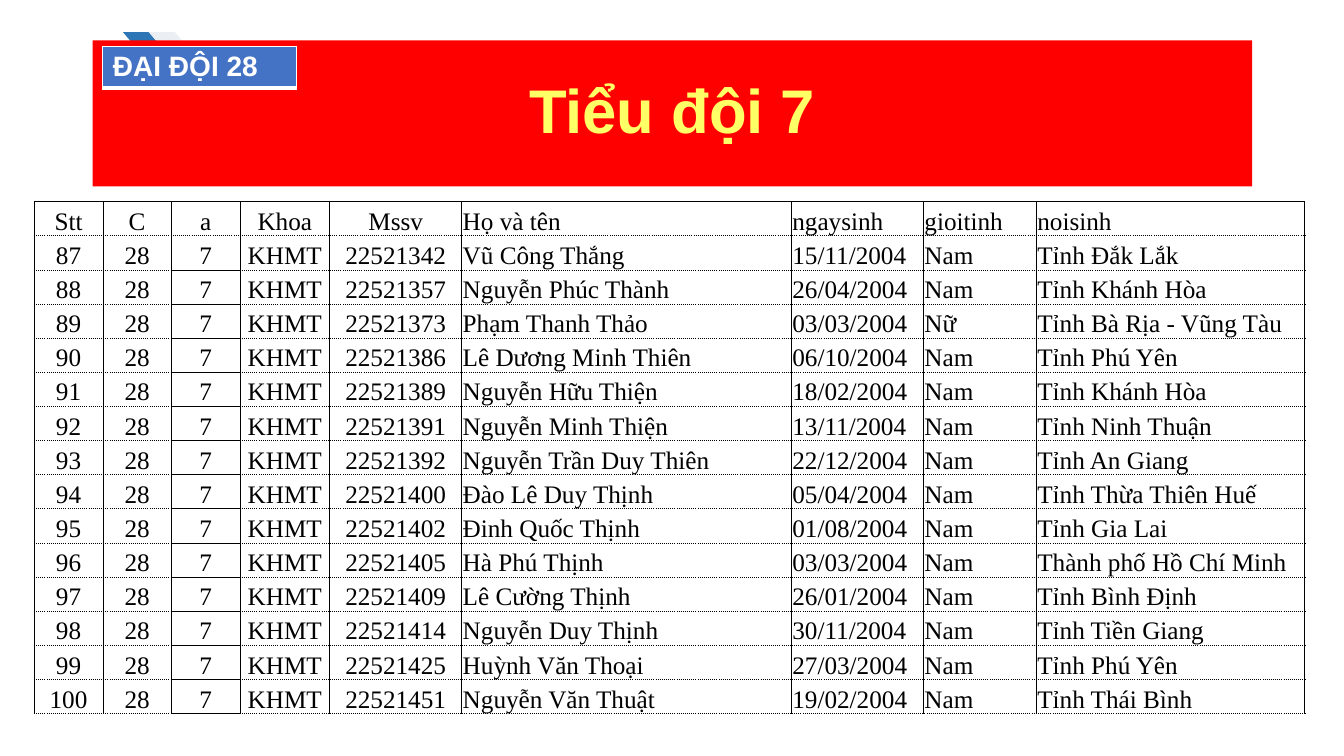
from lxml import etree
from pptx import Presentation
from pptx.dml.color import RGBColor
from pptx.enum.shapes import MSO_SHAPE
from pptx.enum.text import MSO_ANCHOR, PP_ALIGN
from pptx.oxml.ns import qn
from pptx.util import Inches, Pt

CHEVRON, RECTANGLE = MSO_SHAPE.CHEVRON, MSO_SHAPE.RECTANGLE
MIDDLE, BOTTOM = MSO_ANCHOR.MIDDLE, MSO_ANCHOR.BOTTOM
LEFT, CENTER = PP_ALIGN.LEFT, PP_ALIGN.CENTER

TITLE = "Tiểu đội 7"
COMPANY = "ĐẠI ĐỘI 28"
COMPANY_NUMBER, SQUAD_NUMBER, FACULTY = "28", "7", "KHMT"
FIRST_NUMBER = 87
HEADERS = ("Stt", "C", "a", "Khoa", "Mssv", "Họ và tên", "ngaysinh", "gioitinh", "noisinh")
STUDENTS = [
    ("22521342", "Vũ Công Thắng", "15/11/2004", "Nam", "Tỉnh Đắk Lắk"),
    ("22521357", "Nguyễn Phúc Thành", "26/04/2004", "Nam", "Tỉnh Khánh Hòa"),
    ("22521373", "Phạm Thanh Thảo", "03/03/2004", "Nữ", "Tỉnh Bà Rịa - Vũng Tàu"),
    ("22521386", "Lê Dương Minh Thiên", "06/10/2004", "Nam", "Tỉnh Phú Yên"),
    ("22521389", "Nguyễn Hữu Thiện", "18/02/2004", "Nam", "Tỉnh Khánh Hòa"),
    ("22521391", "Nguyễn Minh Thiện", "13/11/2004", "Nam", "Tỉnh Ninh Thuận"),
    ("22521392", "Nguyễn Trần Duy Thiên", "22/12/2004", "Nam", "Tỉnh An Giang"),
    ("22521400", "Đào Lê Duy Thịnh", "05/04/2004", "Nam", "Tỉnh Thừa Thiên Huế"),
    ("22521402", "Đinh Quốc Thịnh", "01/08/2004", "Nam", "Tỉnh Gia Lai"),
    ("22521405", "Hà Phú Thịnh", "03/03/2004", "Nam", "Thành phố Hồ Chí Minh"),
    ("22521409", "Lê Cường Thịnh", "26/01/2004", "Nam", "Tỉnh Bình Định"),
    ("22521414", "Nguyễn Duy Thịnh", "30/11/2004", "Nam", "Tỉnh Tiền Giang"),
    ("22521425", "Huỳnh Văn Thoại", "27/03/2004", "Nam", "Tỉnh Phú Yên"),
    ("22521451", "Nguyễn Văn Thuật", "19/02/2004", "Nam", "Tỉnh Thái Bình"),
]

COLUMN_WIDTHS = (0.68, 0.68, 0.68, 0.89, 1.31, 3.27, 1.31, 1.12, 2.66)
SQUAD_COLUMN = 2
CENTERED_COLUMNS = 5
ROSTER_BOX = (0.34, 2, sum(COLUMN_WIDTHS), 5.08)
TITLE_BOX = (0.92, 0.4, 11.5, 1.45)
COMPANY_BOX = (1.02, 0.46, 1.92, 0.41)
CHEVRONS = [((1.22, 0.32, 0.51, 0.6), "chevron_blue"), ((1.48, 0.32, 0.51, 0.6), "chevron_gray")]

THEME = {
    "colors": {
        "chevron_blue": "2E75B6", "chevron_gray": "EBEEF2", "banner": "FF0000",
        "title": "FFFF66", "badge": "4472C4", "white": "FFFFFF", "black": "000000",
    },
    "sizes": {"title": 44, "badge": 20, "roster": 18},
    "heading_font": "Arial",
    "roster_font": "Times New Roman",
}


def color(name):
    return RGBColor.from_string(THEME["colors"][name])


def add_filled_shape(slide, kind, box, fill):
    shape = slide.shapes.add_shape(kind, *map(Inches, box))
    shape.shadow.inherit = False
    shape.fill.solid()
    shape.fill.fore_color.rgb = color(fill)
    shape.line.fill.background()
    return shape


def add_plain_table(slide, rows, columns, box):
    """Add a table without header emphasis or banding."""
    table = slide.shapes.add_table(rows, columns, *map(Inches, box)).table
    table.first_row = False
    table.horz_banding = False
    return table


def write(text_frame, text, font, size, ink, alignment=LEFT, bold=False):
    text_frame.text = text
    paragraph = text_frame.paragraphs[0]
    paragraph.alignment = alignment
    run_font = paragraph.runs[0].font
    run_font.name = font
    run_font.size = Pt(THEME["sizes"][size])
    run_font.color.rgb = color(ink)
    run_font.bold = bold
    return paragraph


def set_borders(cell, ink, borders):
    """Draw the left, right, top and bottom borders, each a (points, dash) pair."""
    properties = cell._tc.get_or_add_tcPr()
    for index, (side, (width, dash)) in enumerate(zip("LRTB", borders)):
        line = etree.Element(qn(f"a:ln{side}"), w=str(Pt(width)))
        fill = etree.SubElement(line, qn("a:solidFill"))
        etree.SubElement(fill, qn("a:srgbClr"), val=THEME["colors"][ink])
        etree.SubElement(line, qn("a:prstDash"), val=dash)
        properties.insert(index, line)


def roster_borders(row, column):
    solid, dotted = (0.5, "solid"), (0.5, "dot")
    in_squad = column == SQUAD_COLUMN
    top = solid if row == 0 or (in_squad and row > 1) else dotted
    bottom = solid if in_squad and row > 0 else dotted
    return solid, solid, top, bottom


def add_banner(slide):
    for box, fill in CHEVRONS:
        add_filled_shape(slide, CHEVRON, box, fill)
    banner = add_filled_shape(slide, RECTANGLE, TITLE_BOX, "banner")
    banner.text_frame.word_wrap = True
    banner.text_frame.vertical_anchor = MIDDLE
    paragraph = write(banner.text_frame, TITLE, THEME["heading_font"], "title", "title", CENTER, True)
    paragraph.line_spacing = 0.9


def add_roster(slide):
    rows = [HEADERS] + [
        (str(number), COMPANY_NUMBER, SQUAD_NUMBER, FACULTY, *student)
        for number, student in enumerate(STUDENTS, FIRST_NUMBER)
    ]
    table = add_plain_table(slide, len(rows), len(HEADERS), ROSTER_BOX)
    for column, width in zip(table.columns, COLUMN_WIDTHS):
        column.width = Inches(width)
    for row_index, values in enumerate(rows):
        for column_index, value in enumerate(values):
            cell = table.cell(row_index, column_index)
            cell.fill.background()
            cell.vertical_anchor = BOTTOM
            cell.margin_left = cell.margin_right = cell.margin_top = Inches(0.01)
            cell.margin_bottom = 0
            alignment = CENTER if column_index < CENTERED_COLUMNS else LEFT
            write(cell.text_frame, value, THEME["roster_font"], "roster", "black", alignment)
            set_borders(cell, "black", roster_borders(row_index, column_index))


def add_company_badge(slide):
    cell = add_plain_table(slide, 1, 1, COMPANY_BOX).cell(0, 0)
    cell.fill.solid()
    cell.fill.fore_color.rgb = color("badge")
    write(cell.text_frame, COMPANY, THEME["heading_font"], "badge", "white", bold=True)
    thin, thick = (1, "solid"), (3, "solid")
    set_borders(cell, "white", (thin, thin, thin, thick))


def main():
    presentation = Presentation()
    presentation.slide_width = Inches(13.33)
    presentation.slide_height = Inches(7.5)
    slide = presentation.slides.add_slide(presentation.slide_layouts[6])
    add_banner(slide)
    add_roster(slide)
    add_company_badge(slide)
    presentation.save("out.pptx")


if __name__ == "__main__":
    main()
